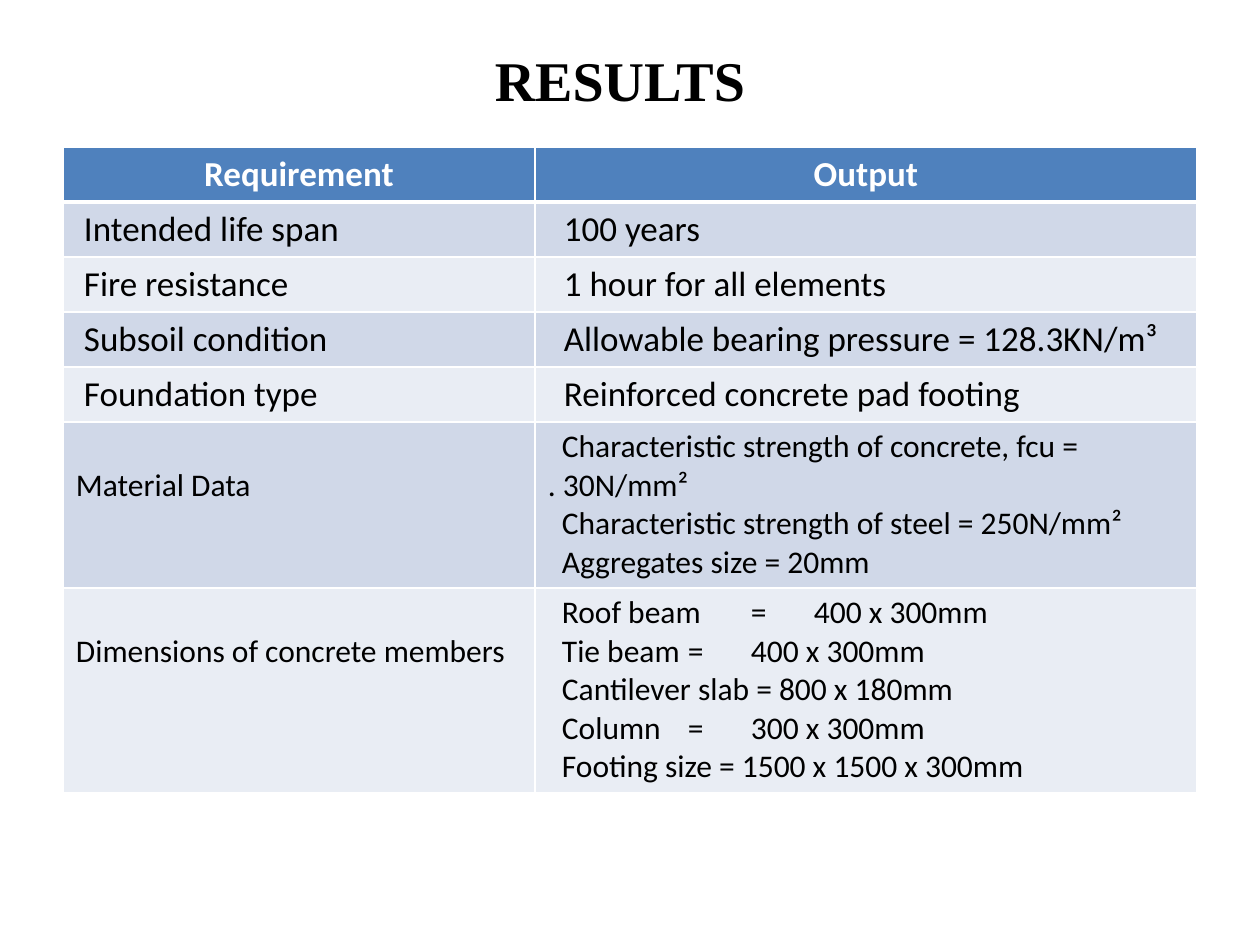
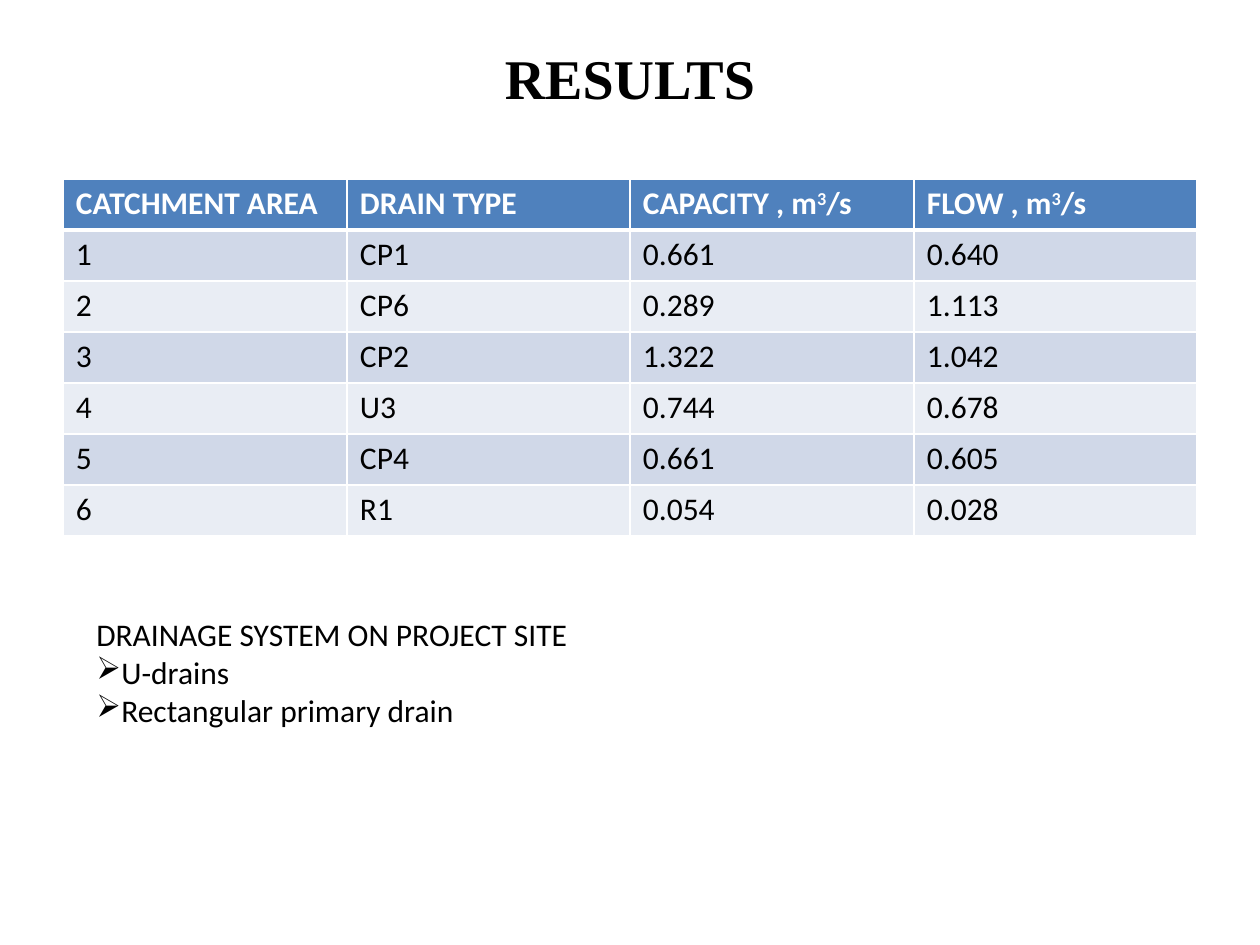
from dataclasses import dataclass

from lxml import etree
from pptx import Presentation, util as u
from pptx.dml.color import RGBColor
from pptx.enum import text
from pptx.oxml.ns import qn

PX_PER_INCH = 126
TITLE_FONT, BODY_FONT = "Times New Roman", "Calibri"
BLACK = RGBColor(0x00, 0x00, 0x00)
WHITE = RGBColor(0xFF, 0xFF, 0xFF)
HEADER_BLUE = RGBColor(0x4F, 0x81, 0xBD)
BANDS = (RGBColor(0xE9, 0xED, 0xF4), RGBColor(0xD0, 0xD8, 0xE8))
CELL_PAD = 13
ROW_PAD = 6


@dataclass(frozen=True)
class Box:
    x: int
    y: int
    w: int
    h: int


@dataclass(frozen=True)
class Line:
    """One paragraph; text between ^ marks is superscript."""
    text: str
    indent: int = 0
    tabs: tuple[int, ...] = ()
    bullet: str = ""


@dataclass(frozen=True)
class Cell:
    lines: tuple[Line, ...]
    size: int = 18
    pad_left: int = CELL_PAD
    pad_top: int = ROW_PAD
    centred: bool = False


@dataclass(frozen=True)
class Grid:
    x: int
    y: int
    cols: tuple[int, ...]
    rows: tuple[int, ...]
    cells: list[list[Cell]]


def px(n: int) -> u.Emu:
    return u.Emu(round(n * u.Inches(1) / PX_PER_INCH))


def place(sp, box: Box) -> None:
    sp.left, sp.top, sp.width, sp.height = map(px, (box.x, box.y, box.w, box.h))


def write_lines(tf, lines: tuple[Line, ...], size: int, color: RGBColor, bold: bool = False) -> None:
    for i, line in enumerate(lines):
        p = tf.paragraphs[0] if i == 0 else tf.add_paragraph()
        pPr = p._p.get_or_add_pPr()
        pPr.set("marL", str(px(line.indent)))
        pPr.set("indent", "0")
        if line.bullet:
            etree.SubElement(pPr, qn("a:buChar"), char=line.bullet)
        if line.tabs:
            tabs = etree.SubElement(pPr, qn("a:tabLst"))
            for pos in line.tabs:
                etree.SubElement(tabs, qn("a:tab"), pos=str(px(pos)), algn="l")
        for k, part in enumerate(line.text.split("^")):
            r = p.add_run()
            r.text = part
            r.font.name, r.font.size = BODY_FONT, u.Pt(size)
            r.font.bold, r.font.color.rgb = bold, color
            if k % 2:
                r.font._element.set("baseline", "30000")


def set_borders(cell, top: int, bottom: int) -> None:
    tcPr = cell._tc.get_or_add_tcPr()
    sides = (("L", 1), ("R", 1), ("T", top), ("B", bottom))
    for i, (side, width) in enumerate(sides):
        ln = etree.Element(qn(f"a:ln{side}"), w=str(u.Pt(width)))
        fill = etree.SubElement(ln, qn("a:solidFill"))
        etree.SubElement(fill, qn("a:srgbClr"), val=str(WHITE))
        tcPr.insert(i, ln)


def draw_table(s, grid: Grid) -> None:
    frame = s.shapes.add_table(len(grid.rows), len(grid.cols), px(grid.x), px(grid.y),
                               px(sum(grid.cols)), px(sum(grid.rows)))
    table = frame.table
    table.horz_banding = False
    for column, width in zip(table.columns, grid.cols):
        column.width = px(width)
    for i, (row, height) in enumerate(zip(grid.cells, grid.rows)):
        table.rows[i].height = px(height)
        header = i == 0
        for j, content in enumerate(row):
            cell = table.cell(i, j)
            cell.margin_left, cell.margin_right = px(content.pad_left), px(CELL_PAD)
            cell.margin_top, cell.margin_bottom = px(content.pad_top), px(ROW_PAD)
            cell.fill.solid()
            cell.fill.fore_color.rgb = HEADER_BLUE if header else BANDS[i % 2]
            set_borders(cell, top=3 if i == 1 else 1, bottom=3 if header else 1)
            write_lines(cell.text_frame, content.lines, content.size,
                        WHITE if header else BLACK, header)
            if content.centred:
                cell.text_frame.paragraphs[0].alignment = text.PP_ALIGN.CENTER


def add_results_slide(prs, title_box: Box, grid: Grid):
    s = prs.slides.add_slide(prs.slide_layouts[5])
    title = s.shapes.title
    place(title, title_box)
    tf = title.text_frame
    tf.text = "RESULTS"
    tf.auto_size = text.MSO_AUTO_SIZE.NONE
    tf.vertical_anchor = text.MSO_ANCHOR.MIDDLE
    p = tf.paragraphs[0]
    p.alignment = text.PP_ALIGN.CENTER
    font = p.runs[0].font
    font.name, font.size, font.bold = TITLE_FONT, u.Pt(32), True
    font.color.rgb = BLACK
    draw_table(s, grid)
    return s


def design_grid() -> Grid:
    basics = [
        ("Intended life span", "100 years"),
        ("Fire resistance", "1 hour for all elements"),
        ("Subsoil condition", "Allowable bearing pressure = 128.3KN/m³"),
        ("Foundation type", "Reinforced concrete pad footing"),
    ]
    materials = (
        Line("Characteristic strength of concrete, fcu =", 14),
        Line(". 30N/mm²"),
        Line("Characteristic strength of steel = 250N/mm²", 14),
        Line("Aggregates size = 20mm", 14),
    )
    members = (
        Line("Roof beam\t=\t400 x 300mm", tabs=(160, 190)),
        Line("Tie beam\t=\t400 x 300mm", tabs=(160, 190)),
        Line("Cantilever slab = 800 x 180mm"),
        Line("Column\t=\t300 x 300mm", tabs=(128, 165)),
        Line("Footing size = 1500 x 1500 x 300mm"),
    )
    cells = [[Cell((Line(name),), 20, centred=True) for name in ("Requirement", "Output")]]
    cells += [[Cell((Line(need),), 20, CELL_PAD + 8), Cell((Line(output),), 20, CELL_PAD + 16)]
              for need, output in basics]
    cells += [
        [Cell((Line("Material Data"),), pad_top=45), Cell(materials)],
        [Cell((Line("Dimensions of concrete members"),), pad_top=45),
         Cell(members, pad_left=CELL_PAD + 14)],
    ]
    return Grid(63, 147, (472, 662), (55,) * 5 + (166, 205), cells)


def drainage_grid() -> Grid:
    rows = [
        ("CATCHMENT AREA", "DRAIN TYPE", "CAPACITY , m^3^/s", "FLOW , m^3^/s"),
        ("1", "CP1", "0.661", "0.640"),
        ("2", "CP6", "0.289", "1.113"),
        ("3", "CP2", "1.322", "1.042"),
        ("4", "U3", "0.744", "0.678"),
        ("5", "CP4", "0.661", "0.605"),
        ("6", "R1", "0.054", "0.028"),
    ]
    cells = [[Cell((Line(value),)) for value in row] for row in rows]
    return Grid(63, 179, (284, 283, 284, 283), (51,) * len(rows), cells)


def add_drain_list(s, box: Box) -> None:
    sp = s.shapes.add_textbox(0, 0, 0, 0)
    place(sp, box)
    tf = sp.text_frame
    tf.word_wrap = True
    tf.auto_size = text.MSO_AUTO_SIZE.SHAPE_TO_FIT_TEXT
    write_lines(tf, (
        Line("DRAINAGE SYSTEM ON PROJECT SITE"),
        Line("U-drains", bullet="➢"),
        Line("Rectangular primary drain", bullet="➢"),
    ), 18, BLACK)


def main() -> None:
    prs = Presentation()
    prs.slide_width, prs.slide_height = u.Inches(10), u.Inches(7.5)
    add_results_slide(prs, Box(53, 0, 1134, 158), design_grid())
    s = add_results_slide(prs, Box(63, 38, 1134, 78), drainage_grid())
    add_drain_list(s, Box(84, 609, 1124, 127))
    prs.save("out.pptx")


if __name__ == "__main__":
    main()
